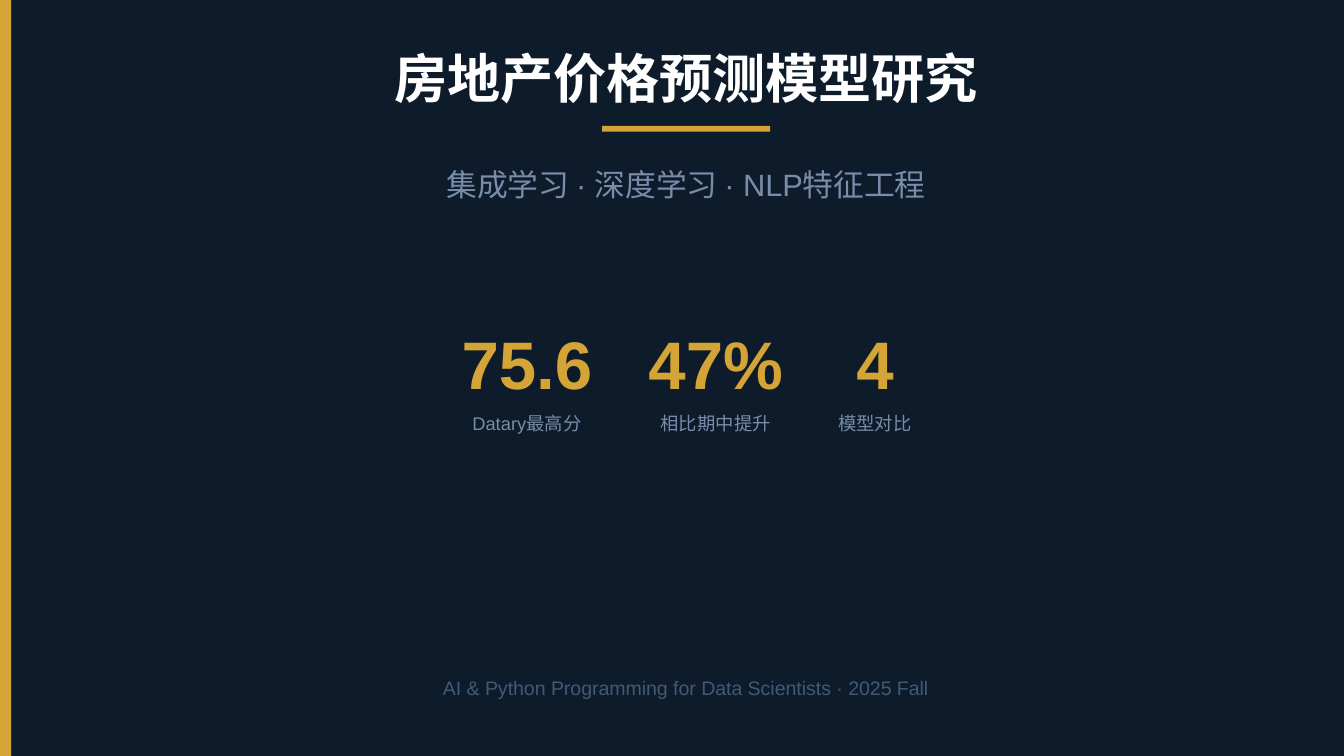
from pptx import Presentation
from pptx.dml.color import RGBColor
from pptx.enum.shapes import MSO_SHAPE
from pptx.enum.text import MSO_ANCHOR, PP_ALIGN
from pptx.util import Inches, Pt

# Grid of square cells, a tenth of an inch each, on a 16:9 page
COLUMNS = 100
ROWS = COLUMNS * 9 / 16
CENTRE = 51.05  # content axis, in columns
GAP = 4  # columns between statistics

NAVY, GOLD, WHITE = "0D1B2A", "D4A536", "FFFFFF"
MIST, SLATE = "778DA9", "415A77"

# Value, label, width in columns
STATISTICS = [
    ("75.6", "Datary最高分", 9.9),
    ("47%", "相比期中提升", 10.2),
    ("4", "模型对比", 5.5),
]


def cells(count):
    return Inches(count / 10)


def colour(code):
    return RGBColor.from_string(code)


def add_bar(page, left, top, width, height):
    bar = page.shapes.add_shape(
        MSO_SHAPE.RECTANGLE, cells(left), cells(top), cells(width), cells(height))
    bar.shadow.inherit = False
    bar.fill.solid()
    bar.fill.fore_color.rgb = colour(GOLD)
    bar.line.fill.background()


def add_text(page, text, left, top, width, height, size, leading, code, bold=False):
    box = page.shapes.add_textbox(cells(left), cells(top), cells(width), cells(height))
    frame = box.text_frame
    frame.word_wrap = True
    frame.vertical_anchor = MSO_ANCHOR.TOP
    frame.margin_left = frame.margin_right = 0
    frame.margin_top = frame.margin_bottom = 0
    para = frame.paragraphs[0]
    para.alignment = PP_ALIGN.CENTER
    para.line_spacing = Pt(leading)
    span = para.add_run()
    span.text = text
    span.font.name = "Arial"
    span.font.size = Pt(size)
    span.font.bold = bold
    span.font.color.rgb = colour(code)


def add_centred_text(page, text, top, width, *style, **options):
    add_text(page, text, CENTRE - width / 2, top, width, *style, **options)


def add_statistics(page):
    total = sum(width for _, _, width in STATISTICS) + GAP * (len(STATISTICS) - 1)
    left = CENTRE - total / 2
    for value, label, width in STATISTICS:
        add_text(page, value, left, 23, width, 7, 36, 50.4, GOLD, bold=True)
        add_text(page, label, left, 30.4, width, 1.9, 9.8, 13.7, MIST)
        left += width + GAP


def main():
    deck = Presentation()
    deck.slide_width, deck.slide_height = cells(COLUMNS), cells(ROWS)
    page = deck.slides.add_slide(deck.slide_layouts[6])
    page.background.fill.solid()
    page.background.fill.fore_color.rgb = colour(NAVY)

    # Left edge
    add_bar(page, 0, 0, 0.83, ROWS)

    # Title, rule and subtitle
    add_centred_text(page, "房地产价格预测模型研究", 4.2, 45.6, 4, 28.5, 28.5, WHITE, bold=True)
    add_bar(page, CENTRE - 12.5 / 2, 9.37, 12.5, 0.42)
    add_centred_text(page, "集成学习 · 深度学习 · NLP特征工程", 11.9, 45.6, 3.2, 16.5, 23.1, MIST)

    # Key figures
    add_statistics(page)

    # Course line
    add_centred_text(page, "AI & Python Programming for Data Scientists · 2025 Fall",
                     50.04, 37.1, 2, 10.5, 14.7, SLATE)

    deck.save("out.pptx")


if __name__ == "__main__":
    main()
